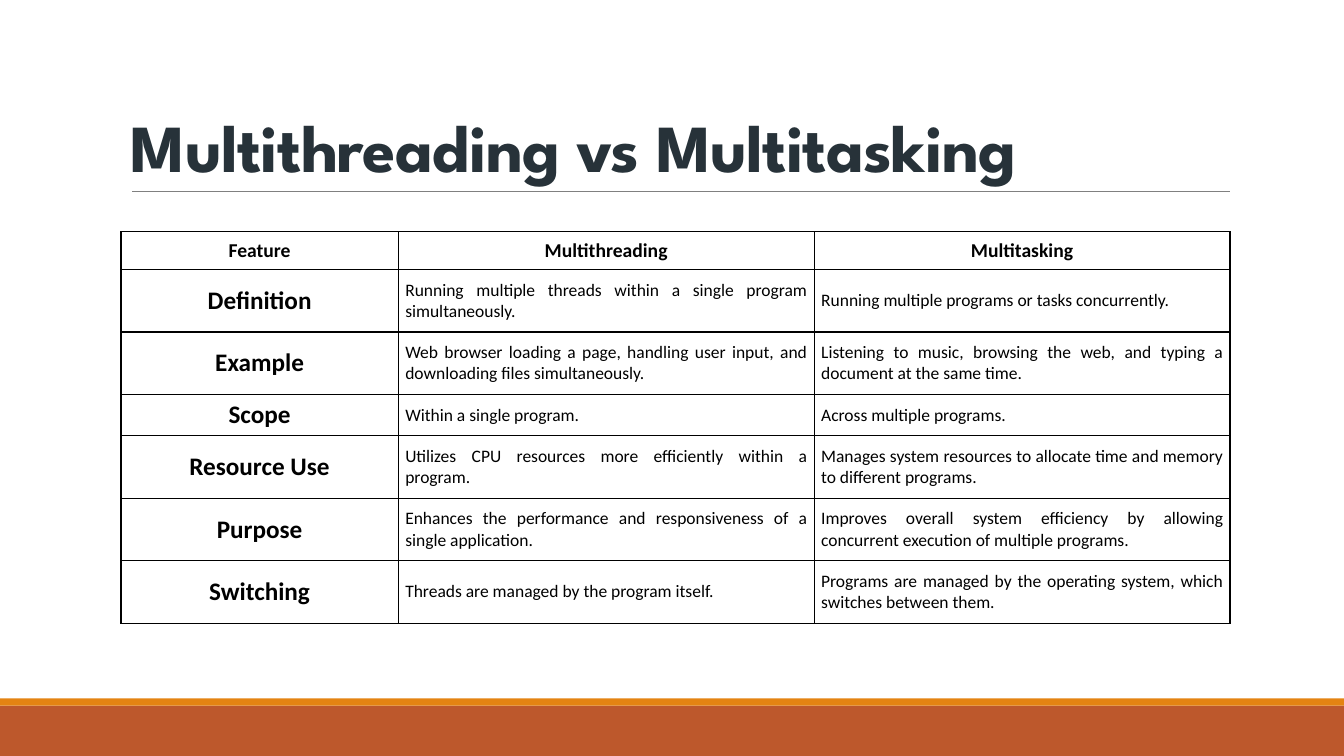
from lxml import etree
from pptx import Presentation
from pptx.dml.color import RGBColor
from pptx.enum.shapes import MSO_CONNECTOR, MSO_SHAPE
from pptx.enum.text import MSO_ANCHOR, PP_ALIGN
from pptx.oxml.ns import qn
from pptx.util import Inches, Pt

RECTANGLE, STRAIGHT = MSO_SHAPE.RECTANGLE, MSO_CONNECTOR.STRAIGHT
MIDDLE, BOTTOM = MSO_ANCHOR.MIDDLE, MSO_ANCHOR.BOTTOM
LEFT, CENTER, JUSTIFY = PP_ALIGN.LEFT, PP_ALIGN.CENTER, PP_ALIGN.JUSTIFY

WIDTH, HEIGHT = 13.33, 7.5
COLUMN_SHARES = (0.25, 0.375, 0.375)
ROW_HEIGHTS = (0.37, 0.62, 0.62, 0.41, 0.62, 0.62, 0.62)
HEADER_MARGINS = (0.07, 0.07)
FEATURE_MARGINS = (0.04, 0.04)
DETAIL_MARGINS = (0.07, 0.1)
COMPARISON = (
    ("Feature", "Multithreading", "Multitasking"),
    ("Definition",
     "Running multiple threads within a single program simultaneously.",
     "Running multiple programs or tasks concurrently."),
    ("Example",
     "Web browser loading a page, handling user input, and downloading files simultaneously.",
     "Listening to music, browsing the web, and typing a document at the same time."),
    ("Scope", "Within a single program.", "Across multiple programs."),
    ("Resource Use",
     "Utilizes CPU resources more efficiently within a program.",
     "Manages system resources to allocate time and memory to different programs."),
    ("Purpose",
     "Enhances the performance and responsiveness of a single application.",
     "Improves overall system efficiency by allowing concurrent execution of multiple programs."),
    ("Switching",
     "Threads are managed by the program itself.",
     "Programs are managed by the operating system, which switches between them."),
)


def color(hex_code):
    """Turn a hex string into a colour."""
    return RGBColor.from_string(hex_code)


def write(frame, text, size, font="Calibri", fill="000000", bold=False,
          align=LEFT, line_spacing=None, tracking=None):
    """Put one formatted paragraph into a text frame."""
    para = frame.paragraphs[0]
    para.alignment = align
    if line_spacing:
        para.line_spacing = line_spacing
    span = para.add_run()
    span.text = text
    span.font.size = Pt(size)
    span.font.name = font
    span.font.bold = bold
    span.font.color.rgb = color(fill)
    if tracking:
        span.font._element.set("spc", str(round(tracking * 100)))


def add_band(page, top, height, fill):
    """Draw a full-width colour band."""
    band = page.shapes.add_shape(RECTANGLE, 0, Inches(top), Inches(WIDTH), Inches(height))
    band.shadow.inherit = False
    band.fill.solid()
    band.fill.fore_color.rgb = color(fill)
    band.line.fill.background()


def add_footer(page, top):
    """Draw the footer bands from the given top to the slide's bottom."""
    stripe = 0.07
    add_band(page, top + stripe, HEIGHT - top - stripe, "BD582C")
    add_band(page, top, stripe, "E48312")


def add_title(page, left, top, width, height):
    """Place the title in its box with a rule along the bottom."""
    inset = 0.11
    bottom = Inches(top + height)
    rule = page.shapes.add_connector(
        STRAIGHT, Inches(left + inset), bottom, Inches(left + width), bottom)
    rule.line.color.rgb = color("808080")
    rule.line.width = Pt(0.5)
    etree.SubElement(rule._element.spPr, qn("a:effectLst"))
    box = page.shapes.add_textbox(Inches(left), Inches(top), Inches(width), Inches(height))
    frame = box.text_frame
    frame.word_wrap = True
    frame.vertical_anchor = BOTTOM
    write(frame, "Multithreading vs Multitasking", 48, font="League Spartan",
          fill="273239", bold=True, line_spacing=0.85, tracking=-0.5)


def add_borders(cell, hex_code, points):
    """Outline all four sides of a table cell."""
    properties = cell._tc.get_or_add_tcPr()
    for side in ("lnL", "lnR", "lnT", "lnB"):
        line = etree.SubElement(properties, qn(f"a:{side}"), w=str(Pt(points)))
        fill = etree.SubElement(line, qn("a:solidFill"))
        etree.SubElement(fill, qn("a:srgbClr"), val=hex_code)


def fill_cell(cell, text, is_header, is_feature):
    """Write and format one cell according to its role."""
    if is_header:
        margins, size = HEADER_MARGINS, 14
    elif is_feature:
        margins, size = FEATURE_MARGINS, 18
    else:
        margins, size = DETAIL_MARGINS, 12.5
    cell.margin_left = cell.margin_right = Inches(margins[0])
    cell.margin_top = cell.margin_bottom = Inches(margins[1])
    cell.vertical_anchor = MIDDLE
    add_borders(cell, "000000", 1)
    cell.fill.background()
    heading = is_header or is_feature
    write(cell.text_frame, text, size, bold=heading, align=CENTER if heading else JUSTIFY)


def add_comparison(page, left, top, width):
    """Build the comparison table across the given width."""
    table = page.shapes.add_table(
        len(COMPARISON), len(COLUMN_SHARES), Inches(left), Inches(top),
        Inches(width), Inches(sum(ROW_HEIGHTS))).table
    table.horz_banding = False
    for column, share in zip(table.columns, COLUMN_SHARES):
        column.width = Inches(width * share)
    for row, height in zip(table.rows, ROW_HEIGHTS):
        row.height = Inches(height)
    for i, texts in enumerate(COMPARISON):
        for j, text in enumerate(texts):
            fill_cell(table.cell(i, j), text, is_header=i == 0, is_feature=j == 0)


def main():
    """Create the deck with its comparison slide."""
    deck = Presentation()
    deck.slide_width, deck.slide_height = Inches(WIDTH), Inches(HEIGHT)
    page = deck.slides.add_slide(deck.slide_layouts[6])
    page.background.fill.solid()
    page.background.fill.fore_color.rgb = color("FFFFFF")
    add_footer(page, 6.93)
    add_title(page, 1.2, 0.31, 11, 1.59)
    add_comparison(page, 1.2, 2.3, 11)
    deck.save("out.pptx")


if __name__ == "__main__":
    main()
